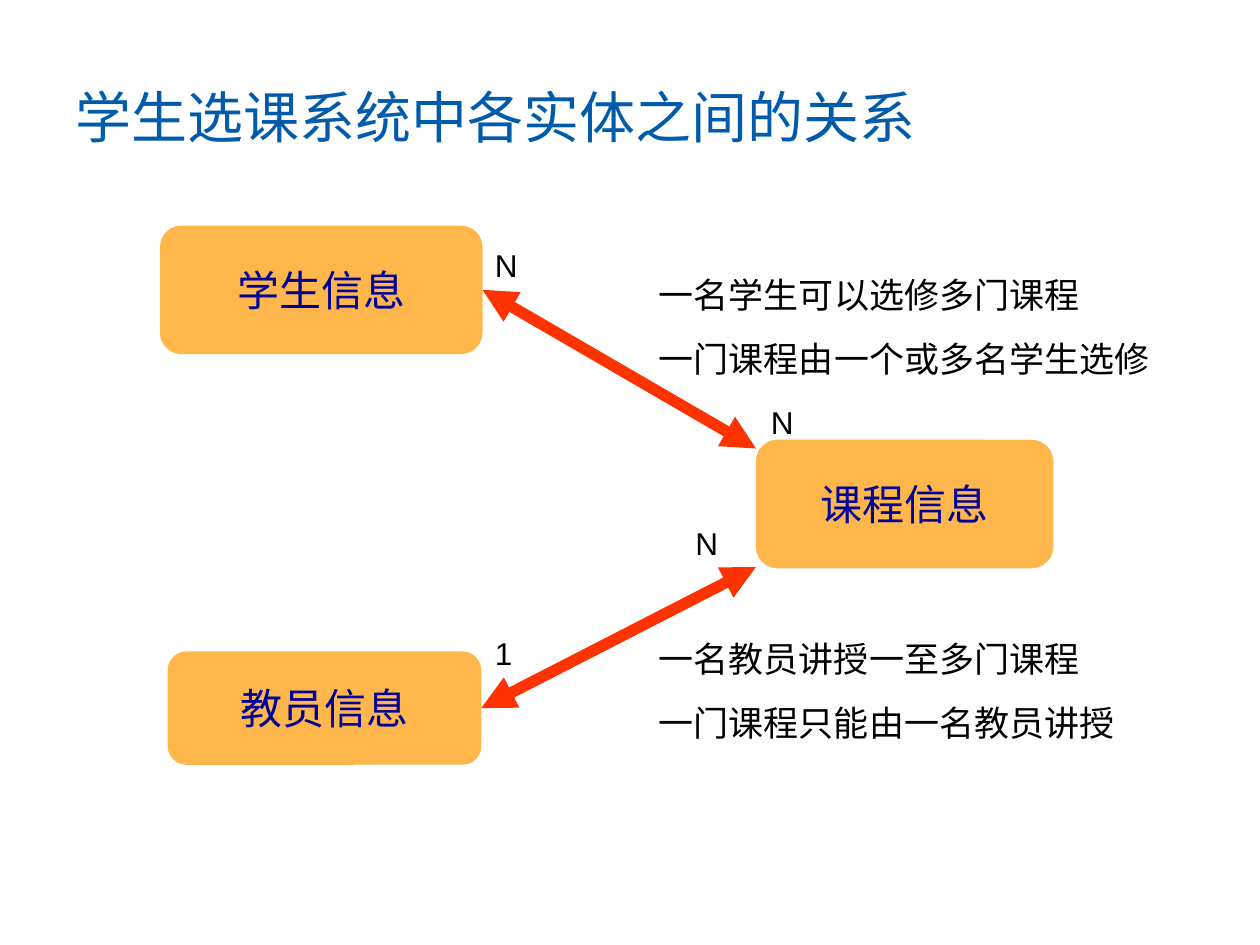
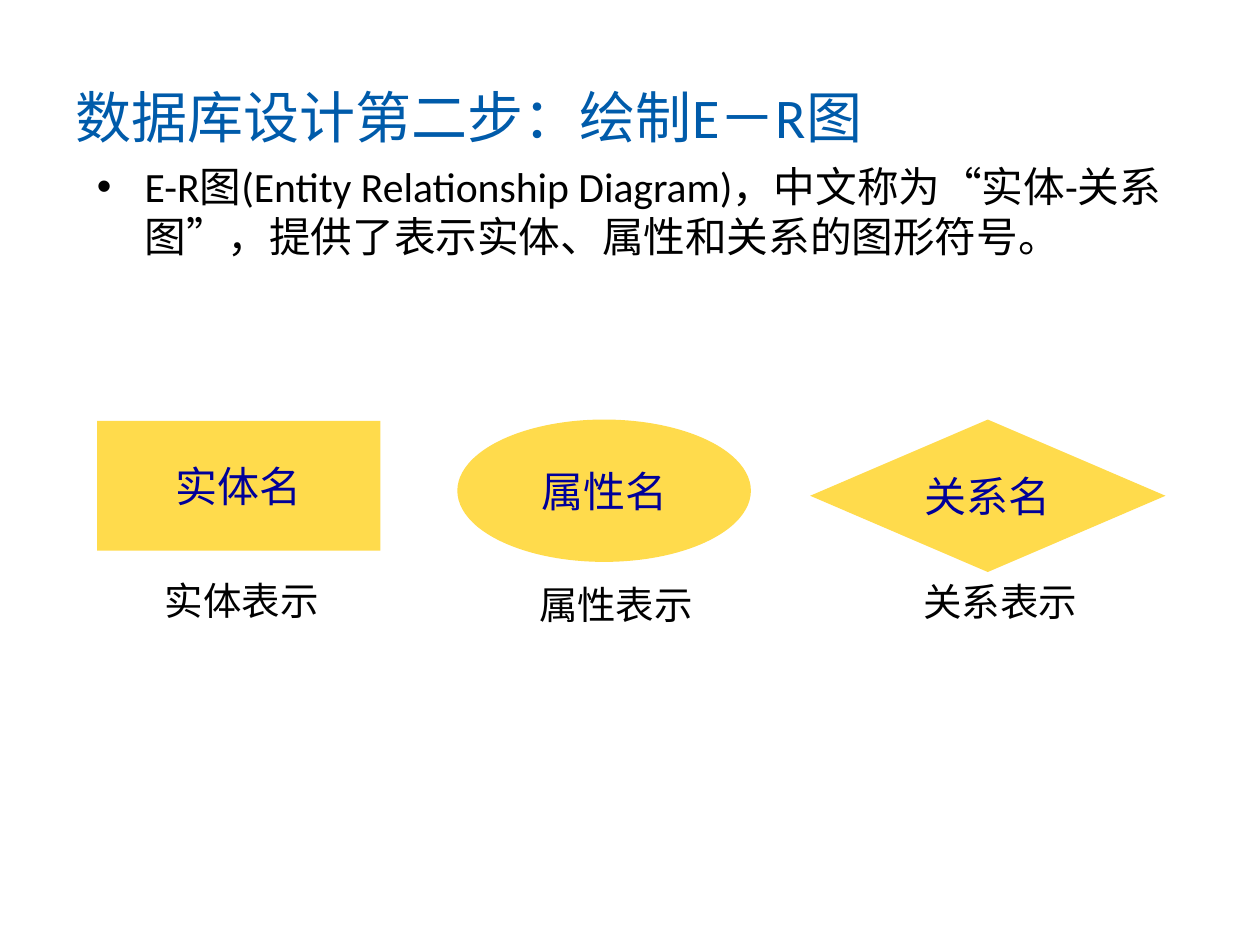
from lxml import etree
from pptx import Presentation
from pptx import util as u
from pptx.dml.color import RGBColor
from pptx.enum import shapes, text
from pptx.oxml.ns import qn

# Shared style
TITLE_BLUE, LABEL_NAVY, BLACK = "005BAA", "000099", "000000"
ENTITY_ORANGE, SYMBOL_YELLOW, ARROW_RED = "FF9900", "FFCC00", "FF3300"
BODY_FONT, TITLE_FONT = "Arial", "Calibri"
OPACITY = 70

# Grid: 100 columns by 75 rows of square cells
WIDTH, HEIGHT = u.Inches(10), u.Inches(7.5)
COLS = 100
CELL = WIDTH // COLS


def rgb(value):
    return RGBColor.from_string(value)


def grid(*cells):
    return [round(c * CELL) for c in cells]


def sub(parent, tag, **attrs):
    return etree.SubElement(parent, qn(tag), attrs)


def style(tf, size, color, font, before=0, align=text.PP_ALIGN.LEFT):
    for p in tf.paragraphs:
        p.alignment = align
        p.space_before = u.Pt(before)
        for r in p.runs:
            r.font.size = u.Pt(size)
            r.font.name = font
            r.font.color.rgb = rgb(color)


def add_text(s, box, content, size, color=BLACK, font=BODY_FONT, before=0,
             anchor=text.MSO_ANCHOR.TOP, grow=True):
    tf = s.shapes.add_textbox(*grid(*box)).text_frame
    tf.word_wrap = True
    tf.vertical_anchor = anchor
    if grow:
        tf.auto_size = text.MSO_AUTO_SIZE.SHAPE_TO_FIT_TEXT
    tf.text = content
    style(tf, size, color, font, before)
    return tf


def add_title(s, content):
    add_text(s, (5, 3, 90, 12.5), content, 32, TITLE_BLUE, TITLE_FONT,
             anchor=text.MSO_ANCHOR.MIDDLE, grow=False)


def add_bullet_text(s, box, content):
    tf = add_text(s, box, content, 23.8, font=TITLE_FONT, before=7, grow=False)
    indent = grid(3.8)[0]
    for p in tf.paragraphs:
        pPr = p._p.get_or_add_pPr()
        pPr.set("marL", str(indent))
        pPr.set("indent", str(-indent))
        sub(sub(pPr, "a:buClr"), "a:srgbClr", val=BLACK)
        sub(pPr, "a:buFont", typeface=BODY_FONT)
        sub(pPr, "a:buChar", char="•")


def add_node(s, kind, box, label, color):
    sp = s.shapes.add_shape(kind, *grid(*box))
    sp.shadow.inherit = False
    sp.fill.solid()
    sp.fill.fore_color.rgb = rgb(color)
    fill_color = sp._element.spPr.find(qn("a:solidFill"))[0]
    sub(fill_color, "a:alpha", val=str(OPACITY * 1000))
    sp.line.fill.background()
    tf = sp.text_frame
    tf.word_wrap = False
    tf.vertical_anchor = text.MSO_ANCHOR.MIDDLE
    tf.text = label
    style(tf, 24, LABEL_NAVY, BODY_FONT, align=text.PP_ALIGN.CENTER)
    return sp


def add_double_arrow(s, node, end):
    """Arrow from the right side of a node to a grid point."""
    start = node.left + node.width, node.top + node.height // 2
    cx = s.shapes.add_connector(shapes.MSO_CONNECTOR.STRAIGHT,
                                *start, *grid(*end))
    cx.begin_connect(node, 3)
    cx.line.color.rgb = rgb(ARROW_RED)
    cx.line.width = u.Pt(6.5)
    ln = cx.line._get_or_add_ln()
    for tag in ("a:headEnd", "a:tailEnd"):
        sub(ln, tag, type="triangle")
    sub(cx._element.spPr, "a:effectLst")


def relations_slide(s):
    add_title(s, "学生选课系统中各实体之间的关系")

    # Entities
    rounded = shapes.MSO_SHAPE.ROUNDED_RECTANGLE
    entities = [("学生信息", (12.7, 17.9, 25.6, 10.2)),
                ("教员信息", (13.3, 51.7, 24.9, 9)),
                ("课程信息", (60, 34.9, 23.6, 10.2))]
    student, teacher, _ = [add_node(s, rounded, box, label, ENTITY_ORANGE)
                           for label, box in entities]

    # Relations, ending at the corners of the course
    add_double_arrow(s, student, (60, 35.6))
    add_double_arrow(s, teacher, (60, 45))

    # Explanations
    for row, width, lines in [
            (21.2, 43.1, "一名学生可以选修多门课程\n一门课程由一个或多名学生选修"),
            (50.1, 41.3, "一名教员讲授一至多门课程\n一门课程只能由一名教员讲授")]:
        add_text(s, (51.3, row, width, 9.4), lines, 20, before=12.5)

    # Cardinalities
    for mark, col, row in [("N", 38.3, 19), ("N", 60.2, 31.5),
                           ("N", 54.2, 41.1), ("1", 38.3, 49.8)]:
        add_text(s, (col, row, 7.7, 4), mark, 18)


def symbols_slide(s):
    add_title(s, "数据库设计第二步：绘制E－R图")
    add_bullet_text(s, (6.7, 12.3, 88, 12.8),
                    "E-R图(Entity Relationship Diagram)，中文称为“实体-关系图”，"
                    "提供了表示实体、属性和关系的图形符号。")

    # Symbols with their captions
    kinds = shapes.MSO_SHAPE
    for name, kind, box, caption_at in [
            ("实体", kinds.RECTANGLE, (7.7, 33.4, 22.5, 10.3), (12.1, 45.3)),
            ("属性", kinds.OVAL, (36.3, 33.3, 23.3, 11.3), (41.8, 45.6)),
            ("关系", kinds.DIAMOND, (64.3, 33.3, 28.2, 12.1), (72.3, 45.4))]:
        add_node(s, kind, box, name + "名", SYMBOL_YELLOW)
        add_text(s, (*caption_at, 20.2, 4.7), name + "表示", 22, before=13.8)


def main():
    prs = Presentation()
    prs.slide_width, prs.slide_height = WIDTH, HEIGHT
    blank = prs.slide_layouts[6]
    for build in (relations_slide, symbols_slide):
        build(prs.slides.add_slide(blank))
    prs.save("out.pptx")


if __name__ == "__main__":
    main()
